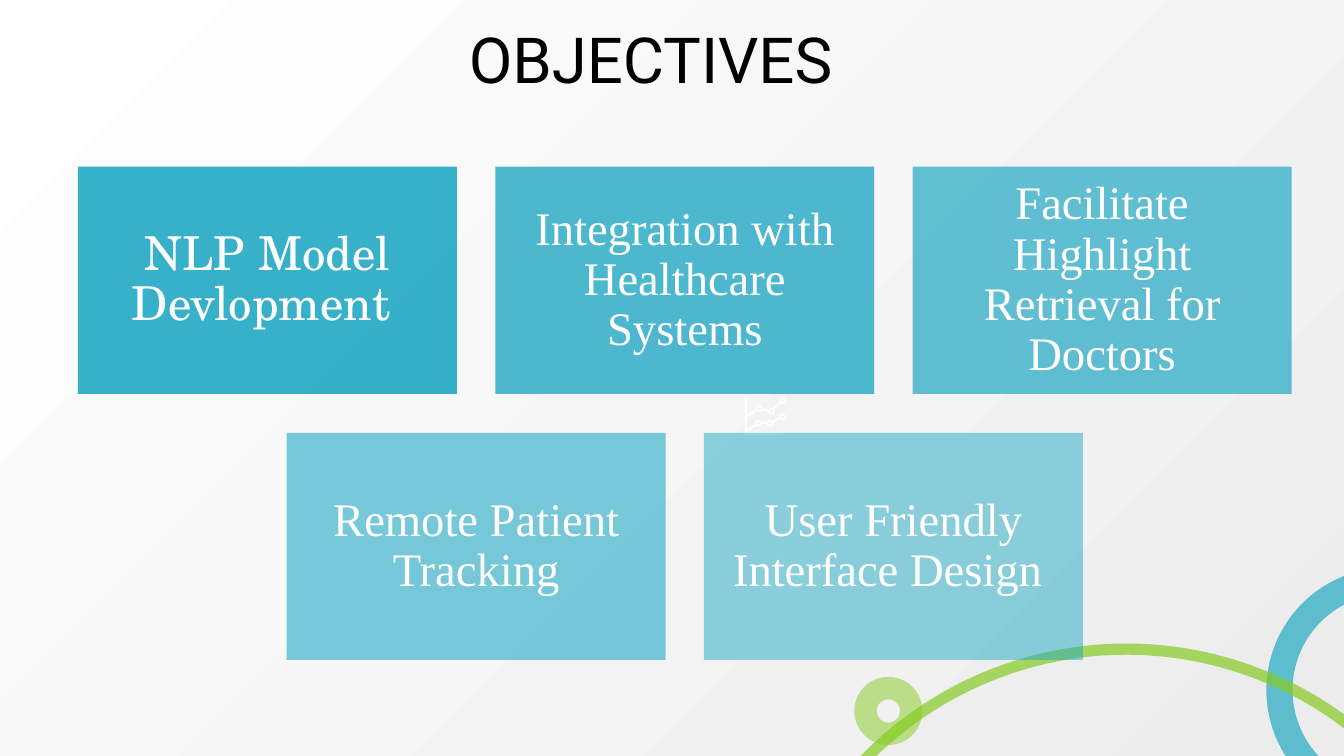
import math

import pptx
import pptx.dml.color
import pptx.enum.shapes
import pptx.enum.text
import pptx.oxml.ns
import pptx.util
from lxml import etree

Inches = pptx.util.Inches
Pt = pptx.util.Pt
SHAPE = pptx.enum.shapes.MSO_SHAPE
ANCHOR = pptx.enum.text.MSO_ANCHOR
qn = pptx.oxml.ns.qn

TEAL, GREEN, WHITE, BLACK = "22A8C4", "86CB21", "FFFFFF", "000000"
SERIF = "Times New Roman"
OBJECTIVE_ROWS = [
    [
        ("NLP Model Devlopment ", "TeX Gyre Schola"),
        ("Integration with Healthcare Systems", SERIF),
        ("Facilitate Highlight Retrieval for Doctors", SERIF),
    ],
    [
        ("Remote Patient Tracking", SERIF),
        ("User Friendly Interface Design ", SERIF),
    ],
]
TITLE_FRAME = {"word_wrap": True, "vertical_anchor": ANCHOR.TOP}
CARD_FRAME = {
    "word_wrap": True,
    "vertical_anchor": ANCHOR.MIDDLE,
    "margin_left": Inches(0.1),
    "margin_top": Inches(0.1),
    "margin_right": Inches(0.1),
    "margin_bottom": Inches(0.1),
}
CARD_PARAGRAPH = {
    "alignment": pptx.enum.text.PP_ALIGN.CENTER,
    "line_spacing": 0.9,
}


def rgb(color):
    return pptx.dml.color.RGBColor.from_string(color)


def paint(fill, color, opacity=100):
    fill.solid()
    fill.fore_color.rgb = rgb(color)
    if opacity < 100:
        srgb = fill._xPr.find(".//" + qn("a:srgbClr"))
        etree.SubElement(srgb, qn("a:alpha")).set("val", str(opacity * 1000))


def apply_format(target, values):
    for name, value in values.items():
        setattr(target, name, value)


def add_preset(slide, preset, left, top, width, height):
    shape = slide.shapes.add_shape(
        preset, Inches(left), Inches(top), Inches(width), Inches(height))
    shape.shadow.inherit = False
    return shape


def write(frame, text, color, font_format, frame_format, paragraph_format):
    paragraph = frame.paragraphs[0]
    run = paragraph.add_run()
    run.text = text
    run.font.color.rgb = rgb(color)
    apply_format(frame, frame_format)
    apply_format(paragraph, paragraph_format)
    apply_format(run.font, font_format)


def fill_background(slide):
    fill = slide.background.fill
    fill.gradient()
    for stop, color in zip(fill.gradient_stops, (WHITE, "ECECEC")):
        stop.color.rgb = rgb(color)
    linear = slide._element.find(".//" + qn("a:lin"))
    radial = etree.Element(qn("a:path"), {"path": "circle"})
    etree.SubElement(radial, qn("a:fillToRect"), {"r": "100000", "b": "100000"})
    linear.getparent().replace(linear, radial)


def add_curves(slide, left, top):
    curves = [
        (SHAPE.ARC, 3.85, 0, 1.63, (80.54, 150.07), TEAL, 14, 70),
        (SHAPE.ARC, 0, 0.51, 5.42, (133.77, 185.25), GREEN, 6, 70),
        (SHAPE.OVAL, 0.77, 0.8, 0.34, (), GREEN, 12, 50),
    ]
    for preset, dx, dy, size, angles, color, weight, opacity in curves:
        curve = add_preset(slide, preset, left + dx, top + dy, size, size)
        for index, angle in enumerate(angles):
            curve.adjustments[index] = angle
        curve.fill.background()
        curve.line.width = Pt(weight)
        paint(curve.line.fill, color, opacity)


def add_trend_icon(slide, left, top, size):
    bar, ring_size = 0.02, 0.05
    corners = [(0, 0), (bar, 0), (bar, size - bar), (size, size - bar),
               (size, size), (0, size)]
    points = [(Inches(left + x), Inches(top + y)) for x, y in corners]
    builder = slide.shapes.build_freeform(*points[0])
    builder.add_line_segments(points[1:], close=True)
    axes = builder.convert_to_shape()
    axes.shadow.inherit = False
    paint(axes.fill, WHITE)
    axes.line.fill.background()

    trends = [
        [(0.01, 0.15), (0.11, 0.09), (0.2, 0.11), (0.28, 0.03)],
        [(0.01, 0.26), (0.1, 0.2), (0.19, 0.2), (0.28, 0.15)],
    ]
    for trend in trends:
        for index, ((x1, y1), (x2, y2)) in enumerate(zip(trend, trend[1:])):
            ring = add_preset(slide, SHAPE.DONUT, left + x2 - ring_size / 2,
                              top + y2 - ring_size / 2, ring_size, ring_size)
            ring.adjustments[0] = 0.25
            paint(ring.fill, WHITE)
            ring.line.fill.background()

            trim = 0.02 / math.dist((x1, y1), (x2, y2))
            dx, dy = (x2 - x1) * trim, (y2 - y1) * trim
            if index:
                x1, y1 = x1 + dx, y1 + dy
            link = slide.shapes.add_connector(
                pptx.enum.shapes.MSO_CONNECTOR.STRAIGHT,
                Inches(left + x1), Inches(top + y1),
                Inches(left + x2 - dx), Inches(top + y2 - dy))
            link.line.width = Pt(1)
            paint(link.line.fill, WHITE)
            etree.SubElement(link._element.spPr, qn("a:effectLst"))


def add_title(slide, left, top, width, height):
    title = slide.shapes.add_textbox(
        Inches(left), Inches(top), Inches(width), Inches(height))
    write(title.text_frame, "OBJECTIVES", BLACK,
          {"size": Pt(34), "name": "Roboto"}, TITLE_FRAME, {})


def add_objectives(slide, left, top, width, height):
    card_width, card_height = 2.82, 1.69
    column_gap = (width - 3 * card_width) / 2
    row_gap = height - 2 * card_height
    opacity = 90
    for row, objectives in enumerate(OBJECTIVE_ROWS):
        row_width = len(objectives) * (card_width + column_gap) - column_gap
        row_left = left + (width - row_width) / 2
        for column, (text, font) in enumerate(objectives):
            card = add_preset(slide, SHAPE.RECTANGLE,
                              row_left + column * (card_width + column_gap),
                              top + row * (card_height + row_gap),
                              card_width, card_height)
            paint(card.fill, TEAL, opacity)
            card.line.fill.background()
            write(card.text_frame, text, WHITE,
                  {"size": Pt(25), "name": font}, CARD_FRAME, CARD_PARAGRAPH)
            opacity -= 10


def main():
    deck = pptx.Presentation()
    deck.slide_width, deck.slide_height = Inches(10), Inches(10 * 9 / 16)
    slide = deck.slides.add_slide(deck.slide_layouts[6])
    fill_background(slide)
    add_curves(slide, 5.67, 4.32)
    add_trend_icon(slide, 5.54, 2.95, 0.29)
    add_title(slide, 3.39, 0.1, 3.37, 0.73)
    add_objectives(slide, 0.58, 1.24, 9.03, 3.67)
    deck.save("out.pptx")


if __name__ == "__main__":
    main()
